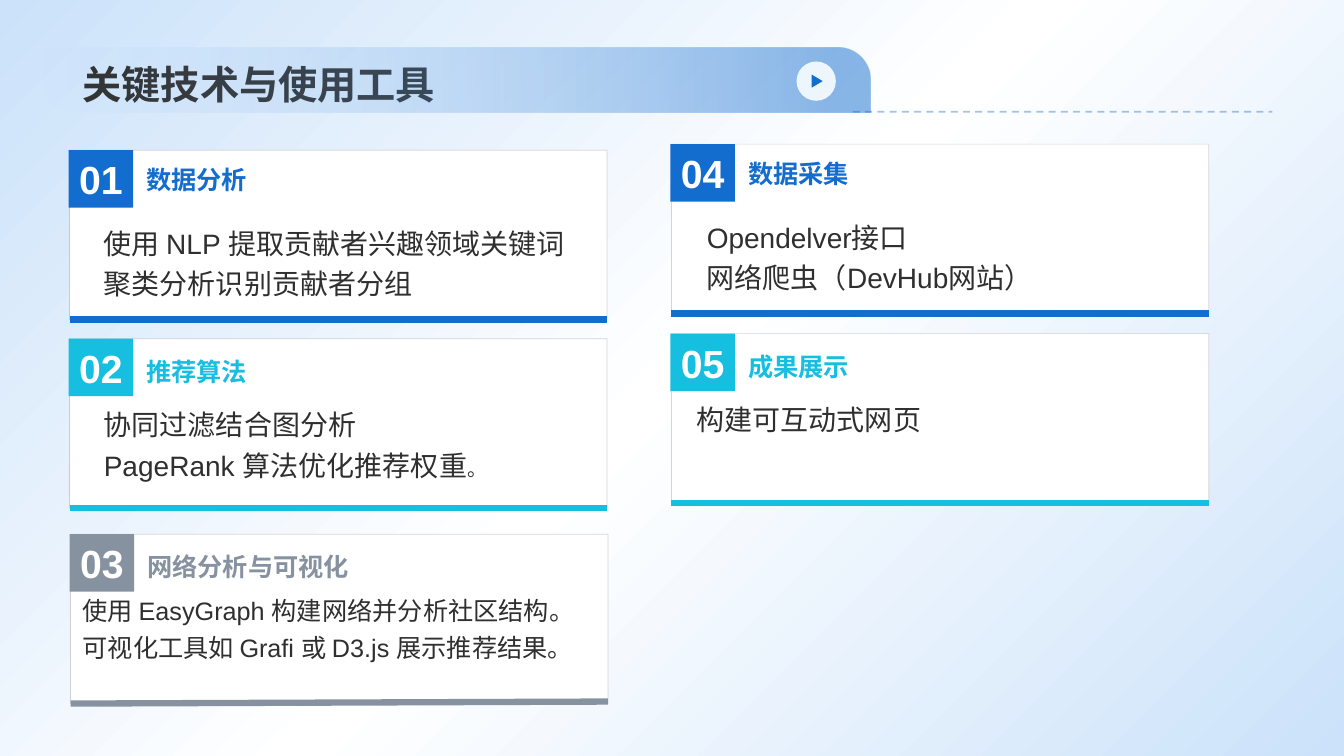
from dataclasses import dataclass

from lxml import etree
from pptx import Presentation
from pptx.dml.color import RGBColor
from pptx.enum.dml import MSO_LINE
from pptx.enum.shapes import MSO_CONNECTOR, MSO_SHAPE
from pptx.enum.text import MSO_ANCHOR, MSO_AUTO_SIZE, PP_ALIGN
from pptx.oxml.ns import qn
from pptx.util import Inches, Pt

RECTANGLE = MSO_SHAPE.RECTANGLE
BANNER = MSO_SHAPE.ROUND_2_DIAG_RECTANGLE
OVAL = MSO_SHAPE.OVAL
TRIANGLE = MSO_SHAPE.ISOSCELES_TRIANGLE
STRAIGHT = MSO_CONNECTOR.STRAIGHT
DASH = MSO_LINE.DASH
TOP, MIDDLE, BOTTOM = MSO_ANCHOR.TOP, MSO_ANCHOR.MIDDLE, MSO_ANCHOR.BOTTOM
LEFT, CENTER = PP_ALIGN.LEFT, PP_ALIGN.CENTER


@dataclass(frozen=True)
class Theme:
    font: str = "Arial"
    ink: str = "2F2F2F"
    white: str = "FFFFFF"
    sky: str = "CBE2FA"
    pale: str = "EDF6FD"
    light_blue: str = "97C4F5"
    blue: str = "136DCF"
    cyan: str = "16BEE0"
    gray: str = "8792A1"
    title: int = 28
    body: int = 20
    small: int = 18
    stop: int = 14


THEME = Theme()


@dataclass(frozen=True)
class Run:
    text: str
    size: int = THEME.body
    color: str = THEME.ink
    bold: bool = False


@dataclass(frozen=True)
class Box:
    left: float
    top: float
    width: float
    height: float

    def lengths(self):
        return tuple(Inches(v) for v in (self.left, self.top, self.width, self.height))


@dataclass(frozen=True)
class Row:
    accent: str
    heading_top: float
    heading_height: float
    heading_spacing: float
    body_top: float
    body_width: float
    body_height: float


@dataclass(frozen=True)
class Card:
    number: str
    heading: str
    lines: list
    left: float
    top: float
    row: Row
    body_indent: float
    rule_rise: float = 0


COLUMN_1, COLUMN_2 = 0.69, 6.66
CARD_WIDTH, CARD_HEIGHT = 5.33, 1.68
BADGE_WIDTH, BADGE_HEIGHT = 0.64, 0.57
TEXT_INSET = 0.12

ROW_1 = Row(THEME.blue, 0, 0.58, 1.0, 0.57, 5.04, 0.92)
ROW_2 = Row(THEME.cyan, 0.08, 0.43, 1.2, 0.5, 5.36, 1.25)
ROW_3 = Row(THEME.gray, 0.07, 0.43, 1.2, 0.43, 5.94, 1.25)

CARDS = [
    Card("01", "数据分析",
         [[Run("使用 NLP 提取贡献者兴趣领域关键词")], [Run("聚类分析识别贡献者分组")]],
         COLUMN_1, 1.49, ROW_1, 0.22),
    Card("02", "推荐算法",
         [[Run("协同过滤结合图分析")],
          [Run("PageRank 算法优化推荐权重"), Run("。", THEME.stop)]],
         COLUMN_1, 3.36, ROW_2, 0.22),
    Card("03", "网络分析与可视化",
         [[Run("使用 EasyGraph 构建网络并分析社区结构。", THEME.small)],
          [Run("可视化工具如 Grafi 或 D3.js 展示推荐结果。", THEME.small)]],
         COLUMN_1 + 0.01, 5.3, ROW_3, 0, 0.02),
    Card("04", "数据采集",
         [[Run("Opendelver接口")], [Run("网络爬虫（DevHub网站）")]],
         COLUMN_2, 1.43, ROW_1, 0.23),
    Card("05", "成果展示", [[Run("构建可互动式网页")]],
         COLUMN_2, 3.31, ROW_2, 0.13),
]


def set_alpha(color_element, percent: int) -> None:
    etree.SubElement(color_element, qn("a:alpha")).set("val", str(percent * 1000))


def set_gradient(fill, root, stops: list, angle: float) -> None:
    fill.gradient()
    fill.gradient_angle = angle
    stop_list = root.find(".//" + qn("a:gsLst"))
    for old_stop in list(stop_list):
        stop_list.remove(old_stop)
    for position, color, opacity in stops:
        stop = etree.SubElement(stop_list, qn("a:gs"))
        stop.set("pos", str(position * 1000))
        tint = etree.SubElement(stop, qn("a:srgbClr"))
        tint.set("val", color)
        set_alpha(tint, opacity)


def write(frame, lines: list, anchor=TOP, align=LEFT, spacing: float = 1.0) -> None:
    frame.vertical_anchor = anchor
    for index, line in enumerate(lines):
        paragraph = frame.paragraphs[0] if index == 0 else frame.add_paragraph()
        paragraph.alignment = align
        paragraph.line_spacing = spacing
        for item in line:
            run = paragraph.add_run()
            run.text = item.text
            run.font.name = THEME.font
            run.font.size = Pt(item.size)
            run.font.bold = item.bold
            run.font.color.rgb = RGBColor.from_string(item.color)


def add_text(slide, box: Box, lines: list, anchor=TOP, spacing: float = 1.2) -> None:
    frame = slide.shapes.add_textbox(*box.lengths()).text_frame
    frame.word_wrap = True
    frame.margin_left = frame.margin_right = Inches(TEXT_INSET)
    frame.margin_top = frame.margin_bottom = Inches(TEXT_INSET)
    write(frame, lines, anchor, spacing=spacing)


def add_block(slide, preset, box: Box, color: str):
    block = slide.shapes.add_shape(preset, *box.lengths())
    block.shadow.inherit = False
    block.fill.solid()
    block.fill.fore_color.rgb = RGBColor.from_string(color)
    block.line.fill.background()
    return block


def add_rule(slide, start: tuple, end: tuple, color: str, weight: float):
    rule = slide.shapes.add_connector(STRAIGHT, *(Inches(v) for v in start + end))
    rule.line.color.rgb = RGBColor.from_string(color)
    rule.line.width = Pt(weight)
    etree.SubElement(rule._element.spPr, qn("a:effectLst"))
    return rule


def fade_line(outlined, percent: int) -> None:
    set_alpha(outlined.line._ln.find(".//" + qn("a:srgbClr")), percent)


def add_header(slide) -> None:
    banner = add_block(slide, BANNER, Box(0.4, 0.47, 8.23, 0.65), THEME.blue)
    banner.adjustments[0], banner.adjustments[1] = 0, 0.5
    set_gradient(banner.fill, banner._element.spPr,
                 [(0, THEME.light_blue, 0), (96, THEME.blue, 50)], 0)
    add_block(slide, OVAL, Box(7.9, 0.61, 0.39, 0.39), THEME.pale)
    add_block(slide, TRIANGLE, Box(8.04, 0.75, 0.13, 0.11), THEME.blue).rotation = 90
    dashes = add_rule(slide, (8.46, 1.11), (12.62, 1.11), THEME.blue, 1.25)
    dashes.line.dash_style = DASH
    fade_line(dashes, 40)

    title = slide.shapes.title
    title.left, title.top, title.width, title.height = Box(0.72, 0.14, 11.88, 0.98).lengths()
    title.text_frame.auto_size = MSO_AUTO_SIZE.NONE
    write(title.text_frame, [[Run("关键技术与使用工具", THEME.title, bold=True)]], BOTTOM)


def add_card(slide, card: Card) -> None:
    row = card.row
    panel = add_block(slide, RECTANGLE,
                      Box(card.left, card.top, CARD_WIDTH, CARD_HEIGHT), THEME.white)
    panel.line.color.rgb = RGBColor.from_string(THEME.ink)
    panel.line.width = Pt(0.5)
    fade_line(panel, 20)

    add_text(slide, Box(card.left + 0.64, card.top + row.heading_top, 4.33, row.heading_height),
             [[Run(card.heading, THEME.small, row.accent, True)]], MIDDLE, row.heading_spacing)
    add_text(slide, Box(card.left + card.body_indent, card.top + row.body_top,
                        row.body_width, row.body_height), card.lines)

    badge = add_block(slide, RECTANGLE,
                      Box(card.left - 0.01, card.top, BADGE_WIDTH, BADGE_HEIGHT), row.accent)
    badge.text_frame.word_wrap = False
    write(badge.text_frame, [[Run(card.number, THEME.title, THEME.white, True)]], MIDDLE, CENTER)

    bottom = card.top + CARD_HEIGHT
    add_rule(slide, (card.left, bottom), (card.left + CARD_WIDTH, bottom - card.rule_rise),
             row.accent, 4.5)


def main() -> None:
    deck = Presentation()
    deck.slide_width, deck.slide_height = Inches(13.33), Inches(7.5)
    slide = deck.slides.add_slide(deck.slide_layouts[5])
    set_gradient(slide.background.fill, slide._element,
                 [(0, THEME.sky, 100), (50, THEME.white, 100), (100, THEME.sky, 100)], 315)
    add_header(slide)
    for card in CARDS:
        add_card(slide, card)
    deck.save("out.pptx")


if __name__ == "__main__":
    main()
